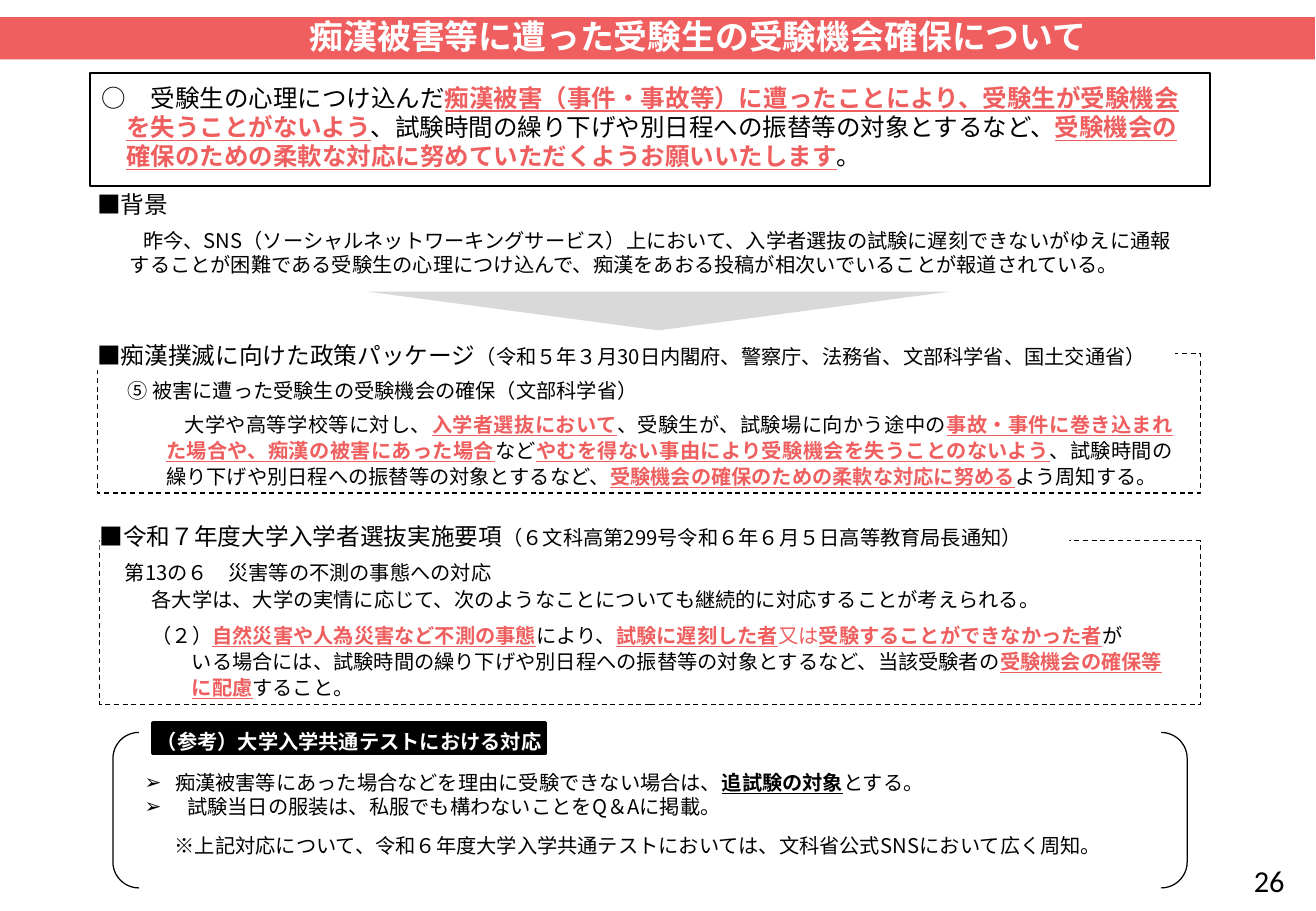
from lxml import etree
from pptx import Presentation
from pptx import util as u
from pptx.dml.color import RGBColor
from pptx.enum import dml, shapes, text
from pptx.oxml import ns

COLORS = {"accent": "EF5F5F", "ink": "000000", "paper": "FFFFFF", "arrow": "D9D9D9"}
FONT = "Noto Sans CJK JP"
# A run that starts with one of these marks takes the format beside it.
MARKS = {
    "*": {"color": "accent", "bold": True, "underline": True},
    "~": {"color": "accent"},
    "_": {"bold": True, "underline": True},
    "-": {"size": 12},
}
INSETS = (0.1, 0.05, 0.1, 0.05)
NO_INSETS = (0, 0, 0, 0)
SQUARE = shapes.MSO_SHAPE.RECTANGLE
JUSTIFY = text.PP_ALIGN.JUSTIFY
CENTER = text.PP_ALIGN.CENTER


def rgb(name):
    return RGBColor.from_string(COLORS[name])


def within(box, left, top, width, height):
    """Turn a place relative to the box into a place on the slide."""
    return box[0] + left, box[1] + top, width, height


def add_run(paragraph, content, size=12, color="ink", font=FONT, bold=False, underline=False):
    run = paragraph.add_run()
    run.text = content
    run.font.color.rgb = rgb(color)
    values = {"size": u.Pt(size), "bold": bold, "underline": underline, "name": font}
    for name, value in values.items():
        setattr(run.font, name, value)
    east_asian = etree.SubElement(run.font._element, ns.qn("a:ea"))
    east_asian.set("typeface", font)


def write(shape, paragraphs, insets=INSETS, anchor=text.MSO_ANCHOR.TOP, **base):
    """Fill a shape with (marked text, paragraph format) pairs."""
    frame = shape.text_frame
    sides = ("margin_left", "margin_top", "margin_right", "margin_bottom")
    values = dict(zip(sides, map(u.Inches, insets)))
    values |= {"word_wrap": True, "auto_size": text.MSO_AUTO_SIZE.NONE, "vertical_anchor": anchor}
    for name, value in values.items():
        setattr(frame, name, value)
    for index, (marked, form) in enumerate(paragraphs):
        paragraph = frame.add_paragraph() if index else frame.paragraphs[0]
        paragraph.alignment = form.get("align", text.PP_ALIGN.LEFT)
        paragraph.space_before = u.Pt(0)
        paragraph.space_after = u.Pt(form.get("after", 0))
        if "spacing" in form:
            paragraph.line_spacing = u.Pt(form["spacing"])
        properties = paragraph._p.get_or_add_pPr()
        properties.set("marL", str(u.Inches(form.get("margin", 0))))
        properties.set("indent", str(u.Inches(form.get("indent", 0))))
        if "bullet" in form:
            etree.SubElement(properties, ns.qn("a:buChar")).set("char", form["bullet"])
        for part in marked.split("|"):
            mark = MARKS.get(part[0])
            add_run(paragraph, part[1:] if mark else part, **(base | (mark or {})))


def add_shape(slide, box, kind=SQUARE, fill=None, line=None, dashed=False):
    shape = slide.shapes.add_shape(kind, *map(u.Inches, box))
    shape.shadow.inherit = False
    if fill:
        shape.fill.solid()
        shape.fill.fore_color.rgb = rgb(fill)
    else:
        shape.fill.background()
    if line:
        shape.line.color.rgb = rgb("ink")
        shape.line.width = u.Pt(line)
    else:
        shape.line.fill.background()
    if dashed:
        shape.line.dash_style = dml.MSO_LINE.DASH
    return shape


def add_text(slide, box, paragraphs, **options):
    write(slide.shapes.add_textbox(*map(u.Inches, box)), paragraphs, **options)


def move(shape, box):
    shape.left, shape.top, shape.width, shape.height = map(u.Inches, box)


def title_band(slide, box):
    band = add_shape(slide, box, fill="accent")
    slide.shapes._spTree.insert(2, band._element)  # behind the title
    title = slide.shapes.title
    move(title, within(box, 0.44, -0.12, 10.61, 0.52))
    write(title, [("痴漢被害等に遭った受験生の受験機会確保について", {"align": CENTER})],
          (0, 0.04, 0, 0), text.MSO_ANCHOR.MIDDLE, size=20, color="paper", bold=True)


def request(slide, box):
    following = {"margin": 0.2}
    write(add_shape(slide, box, line=1), [
        ("○　受験生の心理につけ込んだ|*痴漢被害（事件・事故等）に遭ったことにより、受験生が受験機会",
         {"margin": 0.09, "indent": -0.09}),
        ("*を失うことがないよう|、試験時間の繰り下げや別日程への振替等の対象とするなど、|*受験機会の", following),
        ("*確保のための柔軟な対応に努めていただくようお願いいたします|。", following),
    ], (0.1, 0.08, 0.1, 0.05), size=14.5)


def background(slide, box):
    add_text(slide, within(box, 0, 0, 1.94, 0.24), [("■背景", {})], insets=NO_INSETS, size=14)
    add_text(slide, within(box, 0.17, 0.27, 8.92, 0.93), [
        ("昨今、SNS（ソーシャルネットワーキングサービス）上において、入学者選抜の試験に遅刻できないがゆえに"
         "通報することが困難である受験生の心理につけ込んで、痴漢をあおる投稿が相次いでいることが報道されている。",
         {"indent": 0.11})])
    arrow = add_shape(slide, within(box, 2.22, 0.84, 4.8, 0.32),
                      shapes.MSO_SHAPE.ISOSCELES_TRIANGLE, fill="arrow")
    arrow.rotation = 180


def dashed_section(slide, box, heading, subheading, body):
    """Frame with a heading over its top edge; each part is a (place, content) pair."""
    add_shape(slide, box, line=0.75, dashed=True)
    place, content = heading
    write(add_shape(slide, within(box, *place), fill="paper"), [(content, {})], NO_INSETS, size=14)
    place, content = subheading
    add_text(slide, within(box, *place), [(content, {"spacing": 18.1})])
    place, paragraphs = body
    common = {"align": JUSTIFY, "spacing": 15.4}
    add_text(slide, within(box, *place), [(content, common | form) for content, form in paragraphs])


def policy_package(slide, box):
    dashed_section(
        slide, box,
        ((0, -0.1, 8.87, 0.24),
         "■痴漢撲滅に向けた政策パッケージ|-（令和５年３月30日内閣府、警察庁、法務省、文部科学省、国土交通省）"),
        ((0.15, 0.1, 4.7, 0.34), "⑤ 被害に遭った受験生の受験機会の確保（文部科学省）"),
        ((0.29, 0.42, 8.66, 0.73), [
            ("大学や高等学校等に対し、|*入学者選抜において|、受験生が、試験場に向かう途中の|"
             "*事故・事件に巻き込まれた場合や、痴漢の被害にあった場合|など|"
             "*やむを得ない事由により受験機会を失うことのないよう|、試験時間の繰り下げや別日程への振替等の対象とするなど、|"
             "*受験機会の確保のための柔軟な対応に努める|よう周知する。", {"margin": 0.18, "indent": 0.15})]))


def guidelines(slide, box):
    dashed_section(
        slide, box,
        ((0, -0.15, 7.98, 0.24),
         "■令和７年度大学入学者選抜実施要項|-（６文科高第299号令和６年６月５日高等教育局長通知）"),
        ((0.11, 0.06, 4.7, 0.34), "第13の６　災害等の不測の事態への対応"),
        ((0.16, 0.32, 8.71, 1.03), [
            ("各大学は、大学の実情に応じて、次のようなことについても継続的に対応することが考えられる。",
             {"margin": 0.17, "after": 6}),
            ("（２）|*自然災害や人為災害など不測の事態|により、|*試験に遅刻した者|~又は|"
             "*受験することができなかった者|が", {"margin": 0.17}),
            ("いる場合には、試験時間の繰り下げや別日程への振替等の対象とするなど、当該受験者の|*受験機会の確保等",
             {"margin": 0.5}),
            ("*に配慮|すること。", {"margin": 0.5})]))


def reference(slide, box):
    add_shape(slide, box, shapes.MSO_SHAPE.DOUBLE_BRACKET, line=0.75)
    label = add_shape(slide, within(box, 0.33, -0.08, 3.23, 0.25), fill="ink", line=2)
    write(label, [("（参考）大学入学共通テストにおける対応", {"align": CENTER, "spacing": 18.1})],
          NO_INSETS, color="paper", bold=True)
    measures = slide.placeholders[1]
    move(measures, within(box, 0.16, 0.26, 8.96, 0.5))
    write(measures, [
        ("痴漢被害等にあった場合などを理由に受験できない場合は、|_追試験の対象|とする。",
         {"margin": 0.25, "indent": -0.25, "bullet": "➢"}),
        ("試験当日の服装は、私服でも構わないことをQ＆Aに掲載。",
         {"margin": 0.35, "indent": -0.35, "bullet": "➢"})])
    add_text(slide, within(box, 0.33, 0.78, 8.96, 0.3), [
        ("※上記対応について、令和６年度大学入学共通テストにおいては、文科省公式SNSにおいて広く周知。",
         {"margin": 0.08})])


def main():
    presentation = Presentation()
    presentation.slide_width, presentation.slide_height = u.Inches(10.83), u.Inches(7.5)
    slide = presentation.slides.add_slide(presentation.slide_layouts[1])
    title_band(slide, (0, 0.14, 10.82, 0.35))
    request(slide, (0.74, 0.6, 9.22, 0.93))
    background(slide, (0.8, 1.56, 9.09, 1.2))
    policy_package(slide, (0.8, 2.91, 9.08, 1.15))
    guidelines(slide, (0.82, 4.45, 9.06, 1.35))
    reference(slide, (0.93, 6.03, 8.84, 1.28))
    add_text(slide, (10.22, 7.05, 0.52, 0.4), [("26", {})], size=18, font="Calibri")
    presentation.save("out.pptx")


if __name__ == "__main__":
    main()
